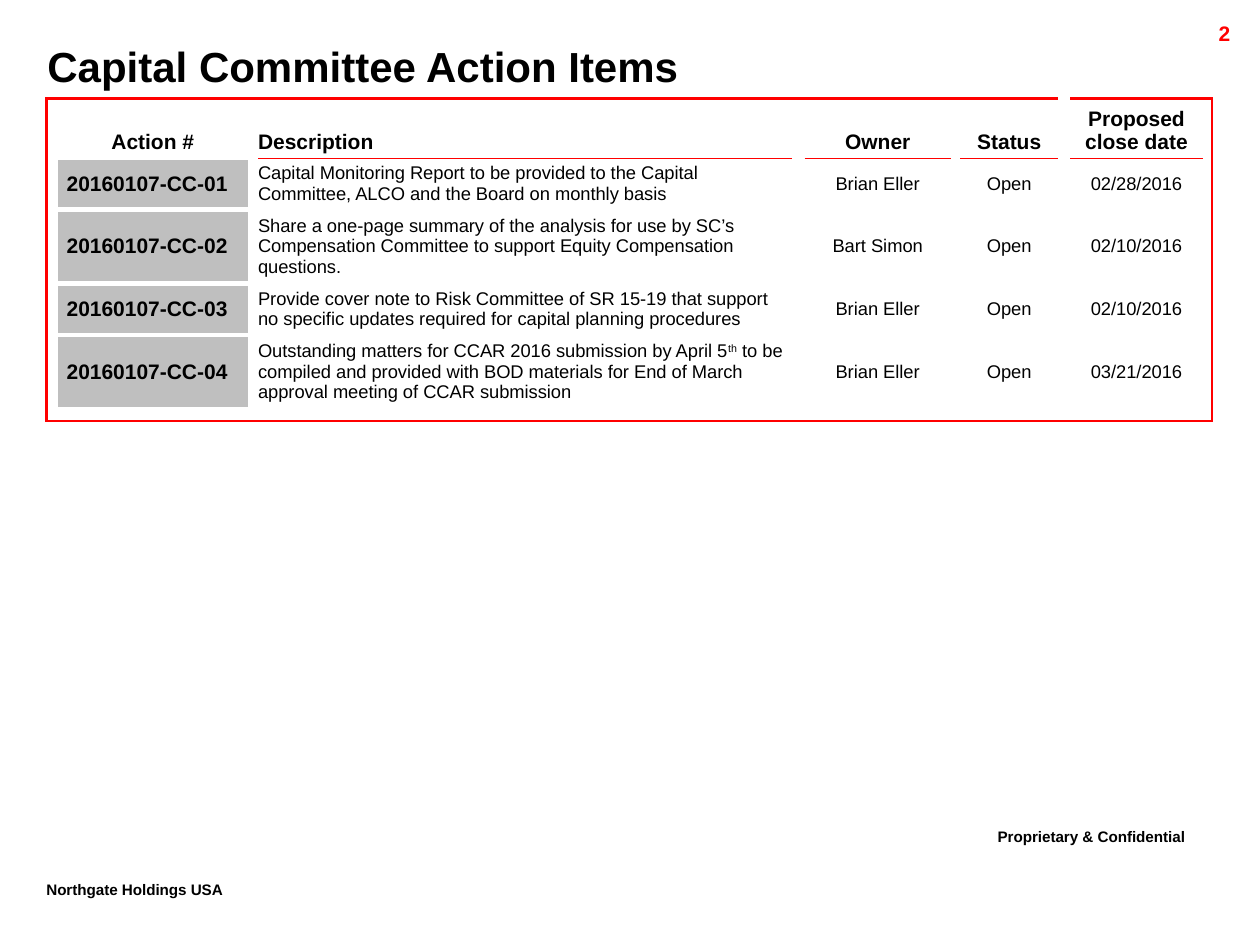
from lxml.etree import SubElement
from pptx import Presentation
from pptx.dml.color import RGBColor
from pptx.enum.text import MSO_ANCHOR as ANCHOR, PP_ALIGN as ALIGN
from pptx.oxml.ns import qn
from pptx.util import Pt

FONT = "Arial"
COLORS = {"black": "000000", "red": "FF0000", "white": "FFFFFF", "gray": "BFBFBF"}

TITLE = "Capital Committee Action Items"
PAGE_NUMBER = "2"
FOOTERS = [
    # text, (left, top, width, height), wrap
    ("Proprietary & Confidential", (563, 467.3, 157, 25), True),
    ("Northgate Holdings USA", (19.4, 497.5, 137.5, 25), False),
]

HEADERS = ["Action #", "Description", "Owner", "Status", "Proposed close date"]
# A description is a list of parts; every second part is superscript.
ITEMS = [
    ("20160107-CC-01",
     ["Capital Monitoring Report to be provided to the Capital Committee, "
      "ALCO and the Board on monthly basis"],
     "Brian Eller", "Open", "02/28/2016"),
    ("20160107-CC-02",
     ["Share a one-page summary of the analysis for use by SC’s Compensation "
      "Committee to support Equity Compensation questions."],
     "Bart Simon", "Open", "02/10/2016"),
    ("20160107-CC-03",
     ["Provide cover note to Risk Committee of SR 15-19 that support no "
      "specific updates required for capital planning procedures"],
     "Brian Eller", "Open", "02/10/2016"),
    ("20160107-CC-04",
     ["Outstanding matters for CCAR 2016 submission by April 5", "th",
      " to be compiled and provided with BOD materials for End of March "
      "approval meeting of CCAR submission"],
     "Brian Eller", "Open", "03/21/2016"),
]

# Content sits in the odd columns; the even ones are gaps.
COL_WIDTHS = [5, 111.5, 4.4, 305, 7.4, 83.5, 5.4, 56, 6.8, 76, 5]
ROW_HEIGHTS = [34, 29, 42, 29.5, 42, 7]
TABLE_LEFT, TABLE_TOP = 26.6, 56.2
MERGES = [((0, 6), (1, 6)), ((0, 8), (4, 8)), ((2, 4), (4, 4)), ((2, 6), (4, 6))]
LAST_ROW, LAST_COL = len(ROW_HEIGHTS) - 1, len(COL_WIDTHS) - 1
ACTION_COL, DESC_COL, OPEN_GAP_COL = 1, 3, 8
NO_STYLE = "{2D5ABB26-0587-4C30-8999-92F81FD0307C}"

FRAME, RULE, BREAK = ("red", 1.5), ("red", 0.25), ("white", 3)


def style(p, size, bold=True, color="black", align=ALIGN.LEFT):
    p.alignment = align
    p.font.name, p.font.size, p.font.bold = FONT, Pt(size), bold
    p.font.color.rgb = RGBColor.from_string(COLORS[color])


def raise_text(r):
    """Make a run superscript."""
    r._r.get_or_add_rPr().set("baseline", "30000")


def add_text(slide, text, box, size, wrap=True, **look):
    tf = slide.shapes.add_textbox(*map(Pt, box)).text_frame
    tf.word_wrap = wrap
    p = tf.paragraphs[0]
    style(p, size, **look)
    r = p.add_run()
    r.text = text
    return r


def cell_edges(row, col):
    """Return the borders of a cell as {side: (color, width)}."""
    edges = {}
    is_content = col % 2 == 1
    if 0 < row < LAST_ROW and col == ACTION_COL:
        return dict.fromkeys("LRTB", BREAK)
    if row > 0 and col == ACTION_COL - 1:
        edges["R"] = BREAK
    if row > 0 and col == ACTION_COL + 1:
        edges["L"] = BREAK
    if row == LAST_ROW and col == ACTION_COL:
        edges.update(dict.fromkeys("LRT", BREAK))
    if row == 0 and is_content:
        edges["B"] = BREAK if col == ACTION_COL else RULE
    if row == 1 and is_content:
        edges["T"] = RULE
    if row == 0 and col != OPEN_GAP_COL:
        edges["T"] = FRAME
    if row == LAST_ROW:
        edges["B"] = FRAME
    if col == 0:
        edges["L"] = FRAME
    if col == LAST_COL:
        edges["R"] = FRAME
    return edges


def draw_edges(cell, edges):
    tc_pr = cell._tc.get_or_add_tcPr()
    for side in "LRTB":
        color, width = edges.get(side, (None, 0))
        ln = SubElement(tc_pr, qn("a:ln" + side), w=str(int(Pt(width))))
        if color:
            fill = SubElement(ln, qn("a:solidFill"))
            SubElement(fill, qn("a:srgbClr"), val=COLORS[color])
        else:
            SubElement(ln, qn("a:noFill"))


def set_margins(cell, side, end):
    cell.margin_left = cell.margin_right = Pt(side)
    cell.margin_top = cell.margin_bottom = Pt(end)


def fill_cell(cell, row, col, parts):
    is_action = col == ACTION_COL and row > 0
    set_margins(cell, *((6.5, 3.6) if is_action else (0, 2.2)))
    cell.vertical_anchor = ANCHOR.MIDDLE if row else ANCHOR.BOTTOM
    p = cell.text_frame.paragraphs[0]
    strong = row == 0 or is_action
    style(p, 12 if strong else 10.5, bold=strong,
          align=ALIGN.LEFT if is_action or col == DESC_COL else ALIGN.CENTER)
    for i, part in enumerate(parts):
        r = p.add_run()
        r.text = part
        if i % 2:
            raise_text(r)


def add_action_table(slide):
    frame = slide.shapes.add_table(
        len(ROW_HEIGHTS), len(COL_WIDTHS), Pt(TABLE_LEFT), Pt(TABLE_TOP),
        Pt(sum(COL_WIDTHS)), Pt(sum(ROW_HEIGHTS)))
    table = frame.table
    table.first_row = table.horz_banding = False
    table._tbl.tblPr.find(qn("a:tableStyleId")).text = NO_STYLE
    for column, width in zip(table.columns, COL_WIDTHS):
        column.width = Pt(width)
    for table_row, height in zip(table.rows, ROW_HEIGHTS):
        table_row.height = Pt(height)

    content = [HEADERS, *ITEMS]
    for row in range(LAST_ROW + 1):
        for col in range(LAST_COL + 1):
            cell = table.cell(row, col)
            draw_edges(cell, cell_edges(row, col))
            if row < LAST_ROW and col % 2:
                value = content[row][col // 2]
                fill_cell(cell, row, col, [value] if isinstance(value, str) else value)
            else:
                set_margins(cell, 0, 0)
                SubElement(cell.text_frame.paragraphs[0]._p, qn("a:endParaRPr"), sz="100")
            if 0 < row < LAST_ROW and col == ACTION_COL:
                cell.fill.solid()
                cell.fill.fore_color.rgb = RGBColor.from_string(COLORS["gray"])
            else:
                cell.fill.background()
    for first, last in MERGES:
        table.cell(*first).merge(table.cell(*last))


def main():
    prs = Presentation()
    prs.slide_width, prs.slide_height = Pt(720), Pt(540)
    slide = prs.slides.add_slide(prs.slide_layouts[6])
    for text, box, wrap in FOOTERS:
        raise_text(add_text(slide, text, box, 15, wrap))
    add_text(slide, PAGE_NUMBER, (641.5, 8, 68.5, 17.3), 12, color="red", align=ALIGN.RIGHT)
    add_text(slide, TITLE, (20, 19.4, 700, 36), 24)
    add_action_table(slide)
    prs.save("out.pptx")


if __name__ == "__main__":
    main()
